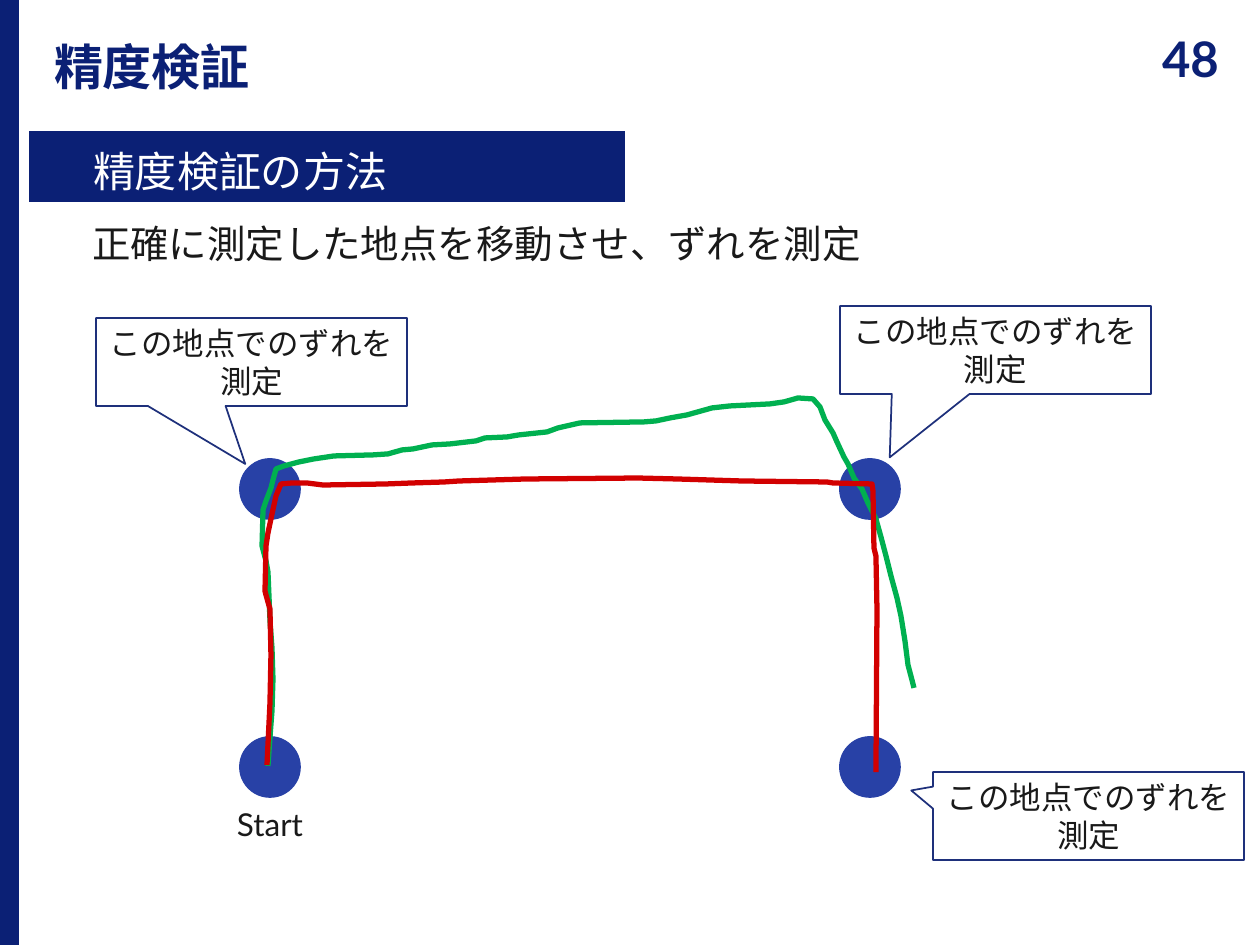
from dataclasses import dataclass
from itertools import product

from lxml import etree
from pptx import Presentation
from pptx.dml.color import RGBColor
from pptx.enum.shapes import MSO_SHAPE
from pptx.enum.text import MSO_ANCHOR, MSO_AUTO_SIZE, PP_ALIGN
from pptx.oxml.ns import qn
from pptx.shapes.autoshape import Shape
from pptx.slide import Slide
from pptx.util import Emu, Pt

PIXEL = 914400 / 126
RECTANGLE, OVAL = MSO_SHAPE.RECTANGLE, MSO_SHAPE.OVAL
CALLOUT = MSO_SHAPE.RECTANGULAR_CALLOUT
LEFT, CENTER = PP_ALIGN.LEFT, PP_ALIGN.CENTER
TOP, MIDDLE = MSO_ANCHOR.TOP, MSO_ANCHOR.MIDDLE
NO_AUTOFIT = MSO_AUTO_SIZE.NONE
TWO_CONTENT_LAYOUT = 3


@dataclass(frozen=True)
class Theme:
    """Font, colours and type sizes of the slide."""
    font: str = "Lato"
    navy: str = "0B2075"
    outline: str = "1E307B"
    point: str = "2841A6"
    measured: str = "00B050"
    reference: str = "D20000"
    ink: str = "191919"
    white: str = "FFFFFF"
    title_size: int = 28
    heading_size: int = 24
    body_size: int = 22
    label_size: int = 18


@dataclass(frozen=True)
class Box:
    """A rectangle in pixels."""
    left: int
    top: int
    width: int
    height: int

    def emu(self) -> tuple[Emu, ...]:
        """Return left, top, width and height in EMU."""
        return tuple(px(v) for v in (self.left, self.top, self.width, self.height))


@dataclass(frozen=True)
class TextStyle:
    """How a text is set; insets are left, top, right and bottom in pixels."""
    size: int
    color: str
    bold: bool = False
    align: PP_ALIGN = LEFT
    anchor: MSO_ANCHOR = MIDDLE
    insets: tuple[int, int, int, int] = (13, 6, 13, 6)
    line_spacing: float = 1.0
    space_before: int = 0
    wrap: bool = True


@dataclass(frozen=True)
class Callout:
    """A speech box and the offset of its tip, relative to its size."""
    left: int
    top: int
    tip_x: float
    tip_y: float


@dataclass(frozen=True)
class Track:
    """A walked route through pixel points."""
    color: str
    points: tuple[tuple[int, int], ...]


THEME = Theme()
NUMBER_STYLE = TextStyle(THEME.title_size, THEME.navy, bold=True, align=CENTER)
TITLE_STYLE = TextStyle(THEME.title_size, THEME.navy, bold=True,
                        insets=(54, 25, 0, 0), line_spacing=0.9)
HEADING_STYLE = TextStyle(THEME.heading_size, THEME.white, insets=(64, 15, 13, 0),
                          line_spacing=0.9, space_before=10)
BODY_STYLE = TextStyle(THEME.body_size, THEME.ink, anchor=TOP, insets=(35, 6, 13, 6),
                       line_spacing=0.9, space_before=6)
CALLOUT_STYLE = TextStyle(THEME.label_size, THEME.ink, align=CENTER)
START_STYLE = TextStyle(THEME.label_size, THEME.ink, anchor=TOP, wrap=False)

POINT_LEFTS, POINT_TOPS, POINT_SIZE = (240, 840), (459, 737), 60
CALLOUT_TEXT = "この地点でのずれを測定"
CALLOUT_WIDTH, CALLOUT_HEIGHT = 311, 88
CALLOUTS = (
    Callout(96, 318, -0.02, 1.16),
    Callout(840, 306, -0.34, 1.22),
    Callout(933, 772, -0.57, -0.29),
)
TRACKS = (
    Track(THEME.measured, (
        (268, 766), (270, 737), (272, 711), (273, 679), (272, 648), (270, 621),
        (268, 572), (266, 561), (262, 546), (263, 510), (266, 501), (271, 488),
        (273, 480), (276, 469), (284, 466), (299, 462), (314, 459), (334, 456),
        (373, 455), (388, 454), (402, 450), (413, 449), (432, 445), (450, 444),
        (476, 441), (485, 438), (507, 437), (519, 435), (547, 432), (558, 428),
        (580, 423), (644, 422), (656, 421), (670, 418), (687, 415), (712, 408),
        (730, 406), (770, 404), (784, 402), (798, 398), (813, 399), (820, 407),
        (825, 420), (833, 433), (837, 442), (844, 457), (848, 464), (854, 478),
        (862, 489), (868, 503), (876, 519), (881, 537), (886, 556), (891, 576),
        (897, 598), (901, 616), (905, 641), (908, 665), (912, 680), (914, 688))),
    Track(THEME.reference, (
        (267, 765), (270, 703), (271, 655), (270, 609), (266, 595), (265, 591),
        (266, 546), (268, 533), (272, 514), (276, 496), (281, 484), (292, 483),
        (307, 483), (323, 485), (386, 484), (412, 483), (444, 482), (459, 481),
        (525, 479), (638, 478), (678, 479), (742, 481), (827, 482), (833, 483),
        (872, 484), (873, 491), (874, 548), (876, 556), (877, 609), (876, 772))),
)


def px(value: int) -> Emu:
    """Turn pixels into EMU."""
    return Emu(round(value * PIXEL))


def rgb(color: str) -> RGBColor:
    """Turn a hex string into a colour."""
    return RGBColor.from_string(color)


def write(shape: Shape, text: str, style: TextStyle) -> None:
    """Set one paragraph of text in a shape."""
    frame = shape.text_frame
    frame.auto_size = NO_AUTOFIT
    frame.word_wrap = style.wrap
    frame.vertical_anchor = style.anchor
    (frame.margin_left, frame.margin_top,
     frame.margin_right, frame.margin_bottom) = map(px, style.insets)
    para = frame.paragraphs[0]
    para.alignment = style.align
    para.line_spacing = style.line_spacing
    para.space_before = Pt(style.space_before)
    span = para.add_run()
    span.text = text
    span.font.name = THEME.font
    span.font.size = Pt(style.size)
    span.font.bold = style.bold
    span.font.color.rgb = rgb(style.color)


def fill_placeholder(shape: Shape, box: Box, text: str, style: TextStyle) -> None:
    """Move a placeholder, write its text and take off the bullet."""
    shape.left, shape.top, shape.width, shape.height = box.emu()
    write(shape, text, style)
    properties = shape.text_frame.paragraphs[0]._p.get_or_add_pPr()
    properties.set("marL", "0")
    properties.set("indent", "0")
    etree.SubElement(properties, qn("a:buNone"))


def add_text(page: Slide, box: Box, text: str, style: TextStyle) -> None:
    """Add a text box."""
    write(page.shapes.add_textbox(*box.emu()), text, style)


def add_filled(page: Slide, kind: MSO_SHAPE, box: Box, fill: str, line: str) -> Shape:
    """Add a preset shape with a solid fill and a thin line."""
    shape = page.shapes.add_shape(kind, *box.emu())
    shape.shadow.inherit = False
    shape.fill.solid()
    shape.fill.fore_color.rgb = rgb(fill)
    shape.line.color.rgb = rgb(line)
    shape.line.width = Pt(1)
    return shape


def add_track(page: Slide, track: Track) -> None:
    """Draw a route as an open outline."""
    builder = page.shapes.build_freeform(*track.points[0], scale=1 / px(1) and PIXEL)
    builder.add_line_segments(track.points[1:], close=False)
    route = builder.convert_to_shape()
    route.shadow.inherit = False
    route.fill.background()
    route.line.color.rgb = rgb(track.color)
    route.line.width = Pt(3)


def add_callout(page: Slide, callout: Callout) -> None:
    """Add a speech box that points at a measuring point."""
    box = Box(callout.left, callout.top, CALLOUT_WIDTH, CALLOUT_HEIGHT)
    shape = add_filled(page, CALLOUT, box, THEME.white, THEME.outline)
    shape.adjustments[0], shape.adjustments[1] = callout.tip_x, callout.tip_y
    write(shape, CALLOUT_TEXT, CALLOUT_STYLE)


def build() -> None:
    """Build the slide and save it."""
    deck = Presentation()
    deck.slide_width, deck.slide_height = px(1260), px(945)
    page = deck.slides.add_slide(deck.slide_layouts[TWO_CONTENT_LAYOUT])
    title, heading, body = page.placeholders
    fill_placeholder(title, Box(0, 0, 1121, 115), "精度検証", TITLE_STYLE)
    fill_placeholder(heading, Box(29, 131, 596, 71), "精度検証の方法", HEADING_STYLE)
    heading.fill.solid()
    heading.fill.fore_color.rgb = rgb(THEME.navy)
    fill_placeholder(body, Box(57, 219, 1162, 299),
                     "正確に測定した地点を移動させ、ずれを測定", BODY_STYLE)
    add_text(page, Box(1121, 0, 139, 115), "48", NUMBER_STYLE)
    side_bar = add_filled(page, RECTANGLE, Box(0, 0, 19, 945), THEME.navy, THEME.navy)
    side_bar.line.fill.background()
    for left, top in product(POINT_LEFTS, POINT_TOPS):
        add_filled(page, OVAL, Box(left, top, POINT_SIZE, POINT_SIZE), THEME.point, THEME.point)
    for track in TRACKS:
        add_track(page, track)
    for callout in CALLOUTS:
        add_callout(page, callout)
    add_text(page, Box(224, 799, 91, 50), "Start", START_STYLE)
    deck.save("out.pptx")


build()
